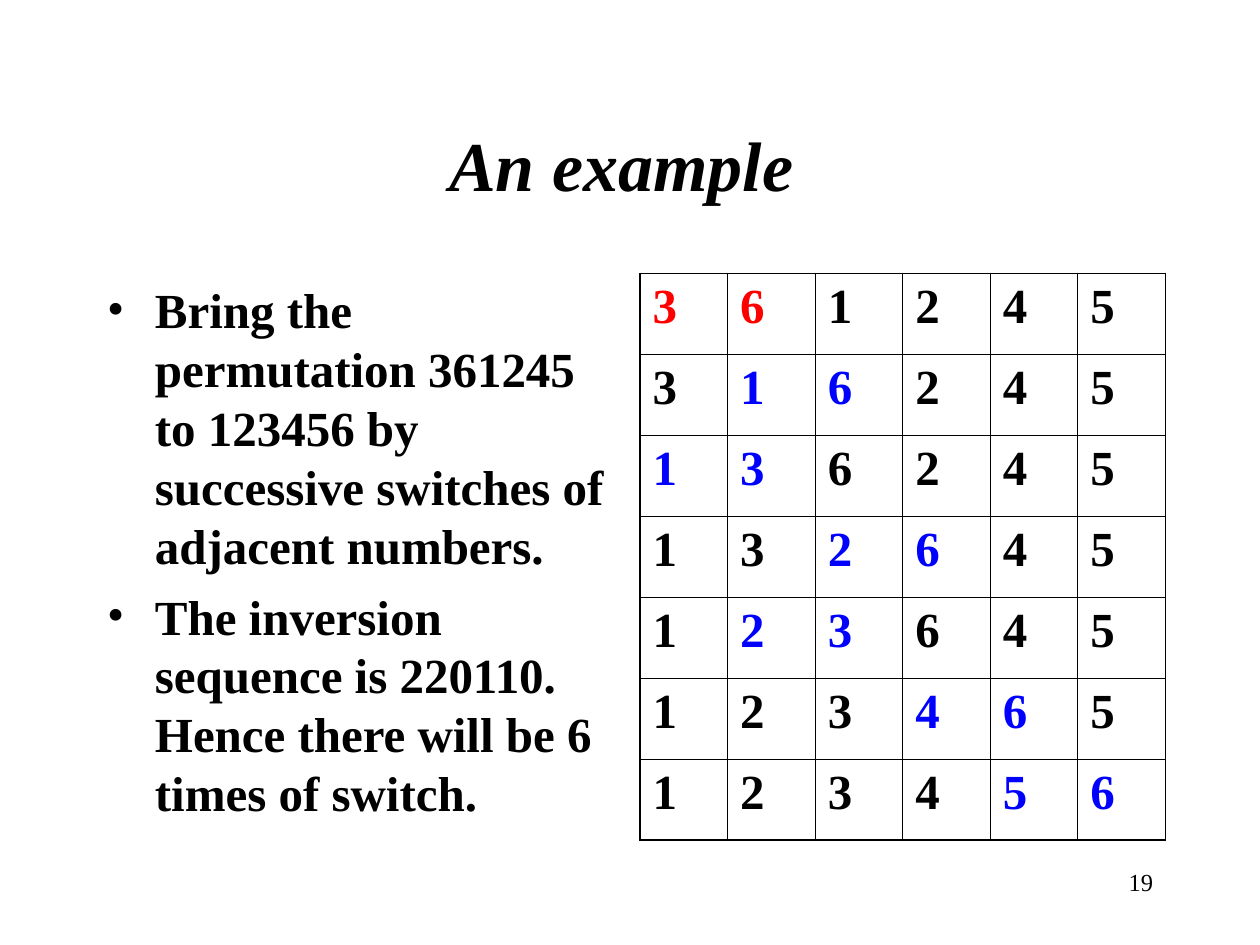
from dataclasses import dataclass

from lxml.etree import SubElement
from pptx import Presentation
from pptx.dml.color import RGBColor
from pptx.enum.text import MSO_ANCHOR as Anchor, MSO_AUTO_SIZE as AutoSize, PP_ALIGN as Align
from pptx.oxml.ns import qn
from pptx.util import Inches, Pt

FONT = "Times New Roman"
COLORS = {"text": "000000", "start": "FF0000", "switched": "0000FF"}
PERMUTATIONS = ["361245", "316245", "136245", "132645", "123645", "123465", "123456"]
FIRST_PAIR = (0, 1)
BULLETS = [
    "Bring the permutation 361245 to 123456 by successive switches of adjacent numbers.",
    "The inversion sequence is 220110. Hence there will be 6 times of switch.",
]
INNER_LINE, OUTER_LINE = Pt(0.45), Pt(1.08)


@dataclass
class Box:
    left: float
    top: float
    width: float
    height: float

    def lengths(self) -> tuple:
        return tuple(Inches(value) for value in (self.left, self.top, self.width, self.height))


def place(shape, box: Box) -> None:
    shape.left, shape.top, shape.width, shape.height = box.lengths()


def format_paragraph(paragraph, size: float, color: str = "text", bold: bool = True,
                     italic: bool = False) -> None:
    for run in paragraph.runs:
        font = run.font
        font.name, font.size, font.bold, font.italic = FONT, Pt(size), bold, italic
        font.color.rgb = RGBColor.from_string(COLORS[color])


def add_title(slide, box: Box) -> None:
    title = slide.shapes.title
    place(title, box)
    frame = title.text_frame
    frame.text = "An example "
    frame.auto_size = AutoSize.NONE
    frame.vertical_anchor = Anchor.MIDDLE
    frame.paragraphs[0].alignment = Align.CENTER
    format_paragraph(frame.paragraphs[0], 40, italic=True)


def add_bullets(slide, box: Box) -> None:
    body = slide.placeholders[1]
    place(body, box)
    frame = body.text_frame
    frame.text = "\n".join(BULLETS)
    frame.auto_size = AutoSize.NONE
    for paragraph in frame.paragraphs:
        paragraph.space_before = Pt(7)
        format_paragraph(paragraph, 28)
        properties = paragraph._p.get_or_add_pPr()
        properties.set("marL", str(Inches(0.38)))
        properties.set("indent", str(-Inches(0.38)))
        SubElement(properties, qn("a:buFont"), typeface=FONT)
        SubElement(properties, qn("a:buChar"), char="•")


def set_borders(cell, widths: dict) -> None:
    properties = cell._tc.get_or_add_tcPr()
    for position, (side, width) in enumerate(widths.items()):
        line = properties.makeelement(qn(f"a:{side}"), {"w": str(width)})
        fill = SubElement(line, qn("a:solidFill"))
        SubElement(fill, qn("a:srgbClr"), val=COLORS["text"])
        properties.insert(position, line)


def number_color(row: int, column: int) -> str:
    if row == 0:
        return "start" if column in FIRST_PAIR else "text"
    moved = PERMUTATIONS[row][column] != PERMUTATIONS[row - 1][column]
    return "switched" if moved else "text"


def add_permutation_table(slide, box: Box) -> None:
    row_count, column_count = len(PERMUTATIONS), len(PERMUTATIONS[0])
    table = slide.shapes.add_table(row_count, column_count, *box.lengths()).table
    table.first_row = table.horz_banding = False
    for row, permutation in enumerate(PERMUTATIONS):
        for column, number in enumerate(permutation):
            cell = table.cell(row, column)
            cell.fill.background()
            cell.text_frame.text = number
            paragraph = cell.text_frame.paragraphs[0]
            paragraph.space_before = Pt(7)
            format_paragraph(paragraph, 28, number_color(row, column))
            outer_sides = {
                "lnL": column == 0,
                "lnR": column == column_count - 1,
                "lnT": row == 0,
                "lnB": row == row_count - 1,
            }
            set_borders(cell, {side: OUTER_LINE if outer else INNER_LINE
                               for side, outer in outer_sides.items()})


def add_page_number(slide, box: Box) -> None:
    frame = slide.shapes.add_textbox(*box.lengths()).text_frame
    frame.word_wrap = True
    frame.text = "19"
    frame.paragraphs[0].alignment = Align.RIGHT
    format_paragraph(frame.paragraphs[0], 14, bold=False)


def main() -> None:
    presentation = Presentation()
    presentation.slide_width, presentation.slide_height = Inches(10), Inches(7.5)
    slide = presentation.slides.add_slide(presentation.slide_layouts[1])
    add_title(slide, Box(0.75, 0.67, 8.5, 1.25))
    add_bullets(slide, Box(0.75, 2.17, 4.17, 4.5))
    add_permutation_table(slide, Box(5.08, 2.17, 4.17, 4.5))
    add_page_number(slide, Box(7.17, 6.83, 2.08, 0.5))
    presentation.save("out.pptx")


if __name__ == "__main__":
    main()
